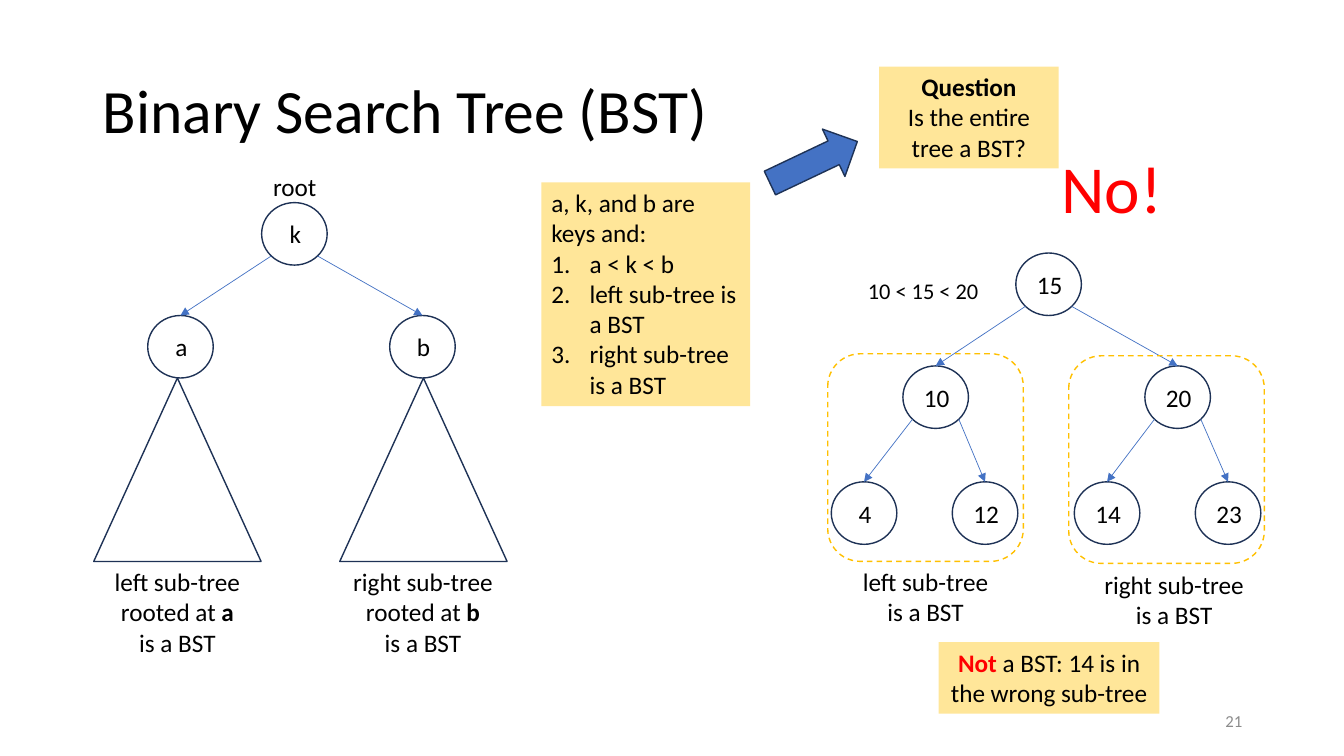
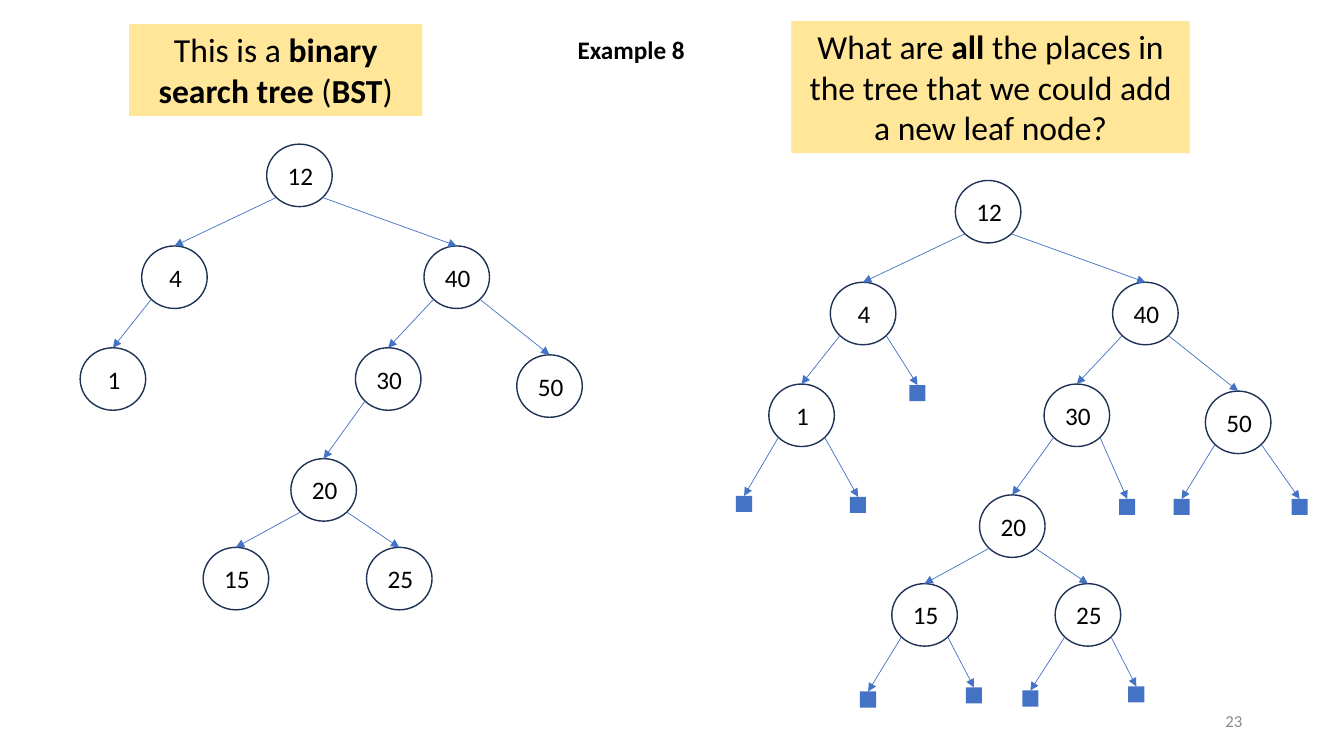
"""Build two slides about binary search trees."""
from dataclasses import dataclass
from typing import NamedTuple, Optional

from lxml import etree
from pptx import Presentation, util as u
from pptx.dml.color import RGBColor
from pptx.enum import dml, shapes, text
from pptx.oxml.ns import qn

FONT = "Calibri"
BLACK, WHITE, GRAY, RED = "000000", "FFFFFF", "8C8C8C", "FF0000"
BLUE, NAVY, CREAM, AMBER = "4472C4", "1E3256", "FFE699", "FFC000"
NODE_WIDTH, NODE_HEIGHT = 0.65, 0.62
BRANCH_X, BRANCH_Y = 0.23, 0.53
SLOT_SIZE = 0.16
LEFT, CENTER, RIGHT = text.PP_ALIGN.LEFT, text.PP_ALIGN.CENTER, text.PP_ALIGN.RIGHT
TOP, MIDDLE = text.MSO_ANCHOR.TOP, text.MSO_ANCHOR.MIDDLE
SHAPE = shapes.MSO_SHAPE


class Area(NamedTuple):
    """Left, top, width and height in inches."""
    left: float
    top: float
    width: float
    height: float


@dataclass(frozen=True)
class Node:
    """A tree node placed by its top centre; an empty key is a free slot."""
    key: str
    x: float
    y: float
    left: Optional["Node"] = None
    right: Optional["Node"] = None


@dataclass(frozen=True)
class Label:
    """A text block in which *stars* mark bold words and # a numbered line."""
    area: Area
    lines: tuple[str, ...]
    size: float = 18
    color: str = BLACK
    bold_color: str = BLACK
    align: text.PP_ALIGN = CENTER
    anchor: text.MSO_ANCHOR = TOP
    wrap: bool = True
    fill: Optional[str] = None
    spacing: float = 1.0


def slot(x: float, y: float) -> Node:
    """Return a free place for a new leaf."""
    return Node("", x, y)


ABSTRACT_TREE = Node("k", 2.92, 2.01, Node("a", 1.79, 3.13), Node("b", 4.19, 3.13))
WRONG_TREE = Node(
    "15", 10.4, 2.51,
    Node("10", 9.28, 3.63, Node("4", 8.57, 4.78), Node("12", 9.77, 4.78)),
    Node("20", 11.68, 3.63, Node("14", 10.98, 4.78), Node("23", 12.18, 4.78)),
)
SEARCH_TREE = Node(
    "12", 2.97, 1.43,
    Node("4", 1.73, 2.44,
         Node("1", 1.12, 3.45, slot(0.55, 4.56), slot(1.68, 4.57)),
         slot(2.27, 3.46)),
    Node("40", 4.53, 2.44,
         Node("30", 3.85, 3.45,
              Node("20", 3.21, 4.55,
                   Node("15", 2.34, 5.43, slot(1.78, 6.5), slot(2.83, 6.46)),
                   Node("25", 3.96, 5.43, slot(3.39, 6.49), slot(4.44, 6.45))),
              slot(4.35, 4.59)),
         Node("50", 5.45, 3.52, slot(4.89, 4.59), slot(6.06, 4.59))),
)

BST_LABELS = (
    Label(Area(0.92, 0.4, 6.52, 1.45), ("Binary Search Tree (BST)",), size=44,
          align=LEFT, anchor=MIDDLE, spacing=0.9),
    Label(Area(1.01, 5.57, 1.5, 1.01), ("left sub-tree rooted at *a*", "is a BST")),
    Label(Area(3.4, 5.57, 1.59, 1.01), ("right sub-tree rooted at *b*", "is a BST")),
    Label(Area(5.37, 1.81, 2.07, 2.22),
          ("a, k, and b are keys and:", "#a < k < b", "#left sub-tree is a BST",
           "#right sub-tree is a BST"), align=LEFT, fill=CREAM),
    Label(Area(8.72, 0.66, 1.78, 1.01), ("*Question*", "Is the entire tree a BST?"),
          fill=CREAM),
    Label(Area(10.43, 1.4, 1.21, 0.91), ("No!",), size=48, color=RED, align=LEFT,
          wrap=False),
    Label(Area(8.43, 5.57, 1.5, 0.71), ("left sub-tree", "is a BST")),
    Label(Area(10.85, 5.6, 1.59, 0.71), ("right sub-tree", "is a BST")),
    Label(Area(8.51, 2.7, 1.31, 0.37), ("10 < 15 < 20",), size=16, align=LEFT, wrap=False),
    Label(Area(2.61, 1.65, 0.64, 0.4), ("root",), align=LEFT, wrap=False),
    Label(Area(9.31, 6.37, 2.19, 0.71), ("*Not* a BST: 14 is in the wrong sub-tree",),
          bold_color=RED, fill=CREAM),
)
EXAMPLE_LABELS = (
    Label(Area(1.28, 0.24, 2.91, 0.91), ("This is a *binary search tree* (*BST*)",),
          size=24, fill=CREAM),
    Label(Area(7.85, 0.21, 3.95, 1.31),
          ("What are *all* the places in the tree that we could add a new leaf node?",),
          size=24, fill=CREAM),
    Label(Area(5.63, 0.29, 1.27, 0.4), ("*Example 8*",), align=LEFT, wrap=False),
)


def rgb(value: str) -> RGBColor:
    """Turn a hex string into a colour."""
    return RGBColor.from_string(value)


def inches(area: Area) -> list[u.Length]:
    """Turn an area into lengths."""
    return [u.Inches(value) for value in area]


def style_paragraph(para, size: float, color: str, align) -> None:
    """Set the font and alignment of a whole paragraph."""
    para.alignment = align
    para.font.name = FONT
    para.font.size = u.Pt(size)
    para.font.color.rgb = rgb(color)


def number_paragraph(para) -> None:
    """Give a paragraph an automatic number and a hanging indent."""
    props = para._p.get_or_add_pPr()
    indent = u.Inches(0.38)
    props.set("marL", str(indent))
    props.set("indent", str(-indent))
    etree.SubElement(props, qn("a:buAutoNum"), type="arabicPeriod")


def add_label(page, label: Label) -> None:
    """Draw a text block, on a filled box if it has a fill."""
    box = page.shapes.add_textbox(*inches(label.area))
    if label.fill:
        box.fill.solid()
        box.fill.fore_color.rgb = rgb(label.fill)
    frame = box.text_frame
    frame.word_wrap = label.wrap
    frame.vertical_anchor = label.anchor
    for index, line in enumerate(label.lines):
        para = frame.add_paragraph() if index else frame.paragraphs[0]
        if line.startswith("#"):
            number_paragraph(para)
        style_paragraph(para, label.size, label.color, label.align)
        para.line_spacing = label.spacing
        parts = [(part, position % 2 == 1)
                 for position, part in enumerate(line.lstrip("#").split("*")) if part]
        for part, bold in parts:
            span = para.add_run()
            span.text = part
            if len(parts) == 1:
                para.font.bold = bold
                continue
            span.font.bold = bold
            if bold and label.bold_color != label.color:
                span.font.color.rgb = rgb(label.bold_color)


def add_figure(page, kind, area: Area, fill: Optional[str] = None,
               line: Optional[str] = None):
    """Draw a preset shape without shadow."""
    figure = page.shapes.add_shape(kind, *inches(area))
    figure.shadow.inherit = False
    if fill:
        figure.fill.solid()
        figure.fill.fore_color.rgb = rgb(fill)
    else:
        figure.fill.background()
    if line:
        figure.line.color.rgb = rgb(line)
        figure.line.width = u.Pt(1)
    else:
        figure.line.fill.background()
    return figure


def add_branch(page, x: float, y: float, child) -> None:
    """Draw an arrow from a point to the top of a child."""
    start = u.Inches(x), u.Inches(y)
    branch = page.shapes.add_connector(shapes.MSO_CONNECTOR.STRAIGHT, *start, *start)
    branch.end_connect(child, 0)
    branch.line.color.rgb = rgb(BLUE)
    branch.line.width = u.Pt(0.5)
    etree.SubElement(branch.line._get_or_add_ln(), qn("a:tailEnd"), type="triangle")
    etree.SubElement(branch._element.spPr, qn("a:effectLst"))


def add_tree(page, node: Node, dx: float = 0, dy: float = 0, slots: bool = False):
    """Draw a node and everything below it, and return the node's shape."""
    x, y = node.x + dx, node.y + dy
    if not node.key:
        return add_figure(page, SHAPE.RECTANGLE,
                          Area(x - SLOT_SIZE / 2, y, SLOT_SIZE, SLOT_SIZE), fill=BLUE)
    circle = add_figure(page, SHAPE.OVAL,
                        Area(x - NODE_WIDTH / 2, y, NODE_WIDTH, NODE_HEIGHT), line=NAVY)
    frame = circle.text_frame
    frame.word_wrap = False
    frame.vertical_anchor = MIDDLE
    frame.margin_left = u.Inches(0.02)
    frame.margin_right = frame.margin_top = frame.margin_bottom = 0
    para = frame.paragraphs[0]
    para.text = node.key
    style_paragraph(para, 18, BLACK, CENTER)
    for side, child in ((-1, node.left), (1, node.right)):
        if child and (child.key or slots):
            shape = add_tree(page, child, dx, dy, slots)
            add_branch(page, x + side * BRANCH_X, y + BRANCH_Y, shape)
    return circle


def add_page(deck, number: str, labels: tuple[Label, ...]):
    """Add a blank slide with its labels and page number."""
    page = deck.slides.add_slide(deck.slide_layouts[6])
    footer = Label(Area(9.42, 6.95, 3, 0.4), (number,), size=12, color=GRAY,
                   align=RIGHT, anchor=MIDDLE)
    for label in (*labels, footer):
        add_label(page, label)
    return page


def build_definition(deck) -> None:
    """Build the slide that defines a binary search tree."""
    page = add_page(deck, "21", BST_LABELS)
    for left in (0.93, 3.37):
        add_figure(page, SHAPE.ISOSCELES_TRIANGLE, Area(left, 3.75, 1.66, 1.82), line=NAVY)
    add_tree(page, ABSTRACT_TREE)
    arrow = add_figure(page, SHAPE.RIGHT_ARROW, Area(7.59, 1.35, 0.96, 0.52), BLUE, NAVY)
    arrow.rotation = 334.6
    add_tree(page, WRONG_TREE)
    for left, top in ((8.21, 3.51), (10.6, 3.53)):
        outline = add_figure(page, SHAPE.ROUNDED_RECTANGLE, Area(left, top, 1.94, 2.06),
                             line=AMBER)
        outline.line.dash_style = dml.MSO_LINE.DASH


def build_example(deck) -> None:
    """Build the slide that shows where new leaves fit."""
    page = add_page(deck, "23", EXAMPLE_LABELS)
    add_tree(page, SEARCH_TREE)
    add_tree(page, SEARCH_TREE, dx=6.83, dy=0.36, slots=True)


def main() -> None:
    """Build and save the deck."""
    deck = Presentation()
    deck.slide_width, deck.slide_height = u.Inches(13.33), u.Inches(7.5)
    build_definition(deck)
    build_example(deck)
    deck.save("out.pptx")


if __name__ == "__main__":
    main()
